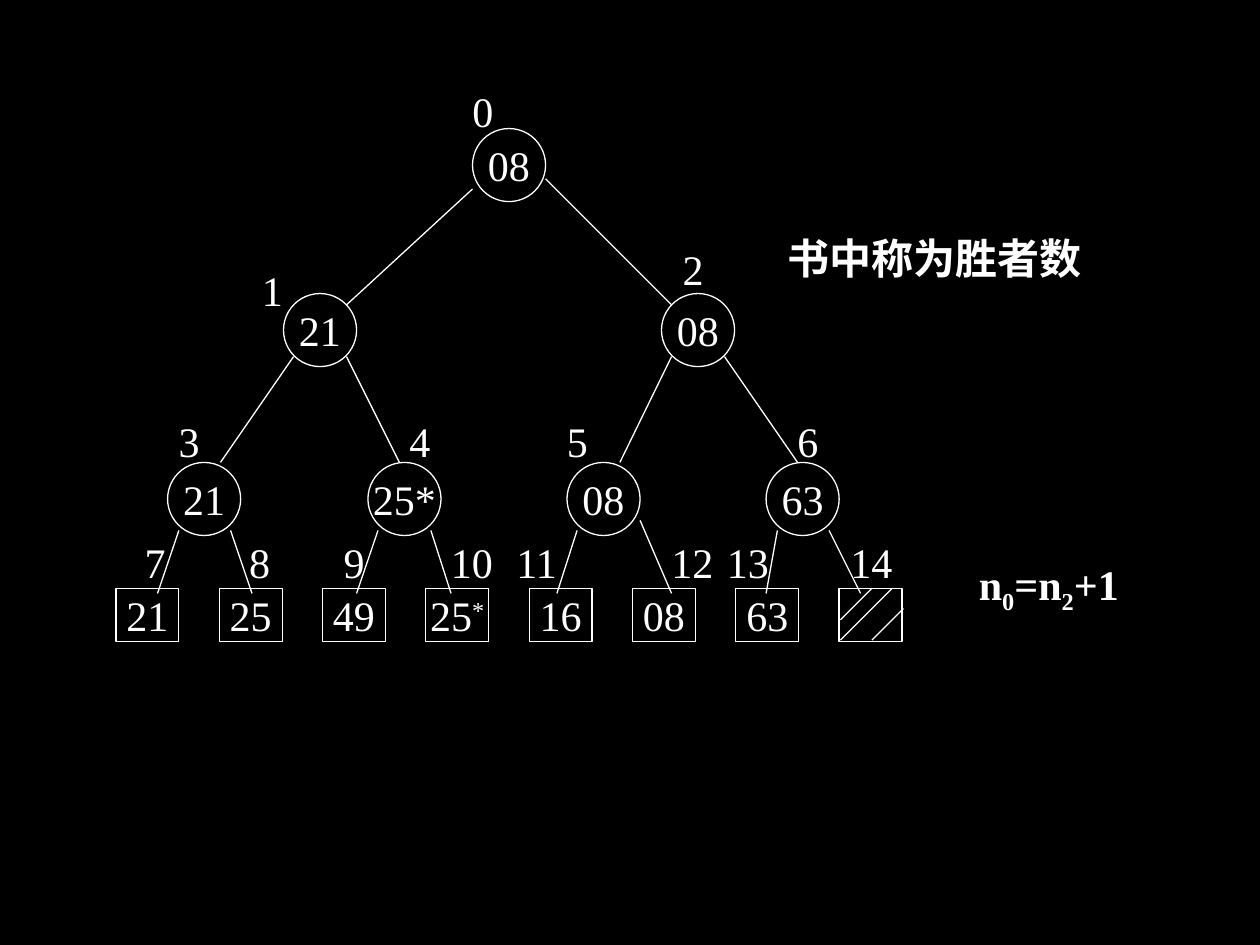
from typing import NamedTuple

from lxml import etree
from pptx import Presentation
from pptx.dml.color import RGBColor
from pptx.enum.shapes import MSO_CONNECTOR, MSO_SHAPE
from pptx.enum.text import MSO_ANCHOR, MSO_AUTO_SIZE, PP_ALIGN
from pptx.oxml.ns import qn
from pptx.shapes.autoshape import Shape
from pptx.shapes.shapetree import GroupShapes, SlideShapes
from pptx.util import Inches, Pt

OVAL, RECTANGLE = MSO_SHAPE.OVAL, MSO_SHAPE.RECTANGLE
STRAIGHT = MSO_CONNECTOR.STRAIGHT
MIDDLE, CENTER = MSO_ANCHOR.MIDDLE, PP_ALIGN.CENTER
FIT_SHAPE = MSO_AUTO_SIZE.SHAPE_TO_FIT_TEXT

BLACK = RGBColor(0x00, 0x00, 0x00)
WHITE = RGBColor(0xFF, 0xFF, 0xFF)
FONT = "Times New Roman"
TEXT_SIZE = Pt(24)
LINE_WIDTH = Pt(0.75)

CIRCLE_SIZE = 0.58
LEAF_LEFT, LEAF_TOP, LEAF_PITCH = 0.92, 4.67, 0.82
LEAF_WIDTH, LEAF_HEIGHT = 0.5, 0.42
LABEL_HEIGHT = 0.5


class Span(NamedTuple):
    text: str
    baseline: int = 0  # percent; positive is superscript, negative subscript


class Node(NamedTuple):
    left: float
    top: float
    value: str


class Edge(NamedTuple):
    x1: float
    y1: float
    x2: float
    y2: float


class Label(NamedTuple):
    left: float
    top: float


NODES = [
    Node(3.75, 1.02, "08"),
    Node(2.25, 2.33, "21"),
    Node(5.25, 2.33, "08"),
    Node(1.33, 3.67, "21"),
    Node(2.92, 3.67, "25*"),
    Node(4.5, 3.67, "08"),
    Node(6.08, 3.67, "63"),
]
LEAVES = [
    [Span("21")], [Span("25")], [Span("49")], [Span("25"), Span("*", 30)],
    [Span("16")], [Span("08")], [Span("63")], [],
]
HATCHES = [
    Edge(6.67, 4.92, 6.92, 4.67),
    Edge(6.67, 5.08, 7.08, 4.67),
    Edge(6.92, 5.08, 7.17, 4.83),
]
BRANCHES = [
    Edge(3.75, 1.5, 2.75, 2.42),
    Edge(4.33, 1.42, 5.33, 2.42),
    *(Edge(x1, 2.83, x2, 3.67) for x1, x2 in
      [(2.33, 1.75), (2.75, 3.17), (5.33, 4.92), (5.75, 6.33)]),
    *(Edge(x1, 4.21, x2, 4.71) for x1, x2 in
      [(1.42, 1.25), (1.83, 2), (3, 2.83), (3.42, 3.58),
       (4.58, 4.42), (6.17, 6.08), (6.58, 6.83)]),
    Edge(5.08, 4.13, 5.33, 4.71),
]
# Listed in the order of the index each label shows
INDEX_LABELS = [
    Label(3.65, 0.63),
    Label(1.98, 2.05),
    Label(5.32, 1.88),
    *(Label(left, 3.25) for left in (1.32, 3.15, 4.4, 6.23)),
    *(Label(left, 4.21) for left in
      (1.05, 1.88, 2.63, 3.48, 4, 5.23, 5.67, 6.65)),
]


def write_spans(box: Shape, spans: list[Span], bold: bool = False) -> None:
    para = box.text_frame.paragraphs[0]
    for span in spans:
        run = para.add_run()
        run.text = span.text
        run.font.name = FONT
        run.font.size = TEXT_SIZE
        run.font.bold = bold
        run.font.color.rgb = WHITE
        if span.baseline:
            run._r.get_or_add_rPr().set("baseline", str(span.baseline * 1000))


def add_cell(shapes: GroupShapes, kind: MSO_SHAPE, left: float, top: float,
             width: float, height: float, spans: list[Span]) -> None:
    """Draw an outlined tree node with centred text."""
    cell = shapes.add_shape(
        kind, Inches(left), Inches(top), Inches(width), Inches(height))
    cell.shadow.inherit = False
    cell.fill.background()
    cell.line.color.rgb = WHITE
    cell.line.width = LINE_WIDTH
    frame = cell.text_frame
    frame.word_wrap = False
    frame.vertical_anchor = MIDDLE
    frame.paragraphs[0].alignment = CENTER
    write_spans(cell, spans)


def add_edge(shapes: GroupShapes, edge: Edge) -> None:
    line = shapes.add_connector(STRAIGHT, *map(Inches, edge))
    line.line.color.rgb = WHITE
    line.line.width = LINE_WIDTH
    etree.SubElement(line._element.spPr, qn("a:effectLst"))


def add_text(shapes: GroupShapes | SlideShapes, left: float, top: float,
             width: float, height: float, spans: list[Span],
             bold: bool = False, wrap: bool = False) -> None:
    box = shapes.add_textbox(
        Inches(left), Inches(top), Inches(width), Inches(height))
    box.text_frame.word_wrap = wrap
    box.text_frame.auto_size = FIT_SHAPE
    write_spans(box, spans, bold)


def add_tree(shapes: GroupShapes) -> None:
    for node in NODES:
        add_cell(shapes, OVAL, node.left, node.top, CIRCLE_SIZE, CIRCLE_SIZE,
                 [Span(node.value)])
    for position, spans in enumerate(LEAVES):
        add_cell(shapes, RECTANGLE, LEAF_LEFT + position * LEAF_PITCH, LEAF_TOP,
                 LEAF_WIDTH, LEAF_HEIGHT, spans)
    for edge in HATCHES + BRANCHES:
        add_edge(shapes, edge)
    for index, label in enumerate(INDEX_LABELS):
        width = 0.36 if index < 10 else 0.53
        add_text(shapes, label.left, label.top, width, LABEL_HEIGHT,
                 [Span(str(index))])


def main() -> None:
    deck = Presentation()
    deck.slide_width, deck.slide_height = Inches(10), Inches(7.5)
    page = deck.slides.add_slide(deck.slide_layouts[6])
    page.background.fill.solid()
    page.background.fill.fore_color.rgb = BLACK

    add_tree(page.shapes.add_group_shape().shapes)
    add_text(page.shapes, 6.15, 1.8, 2.68, 0.5, [Span("书中称为胜者数")],
             bold=True, wrap=True)
    formula = [Span("n"), Span("0", -25), Span("=n"), Span("2", -25), Span("+1")]
    add_text(page.shapes, 7.67, 4.38, 1.31, 0.56, formula, bold=True)
    deck.save("out.pptx")


if __name__ == "__main__":
    main()
